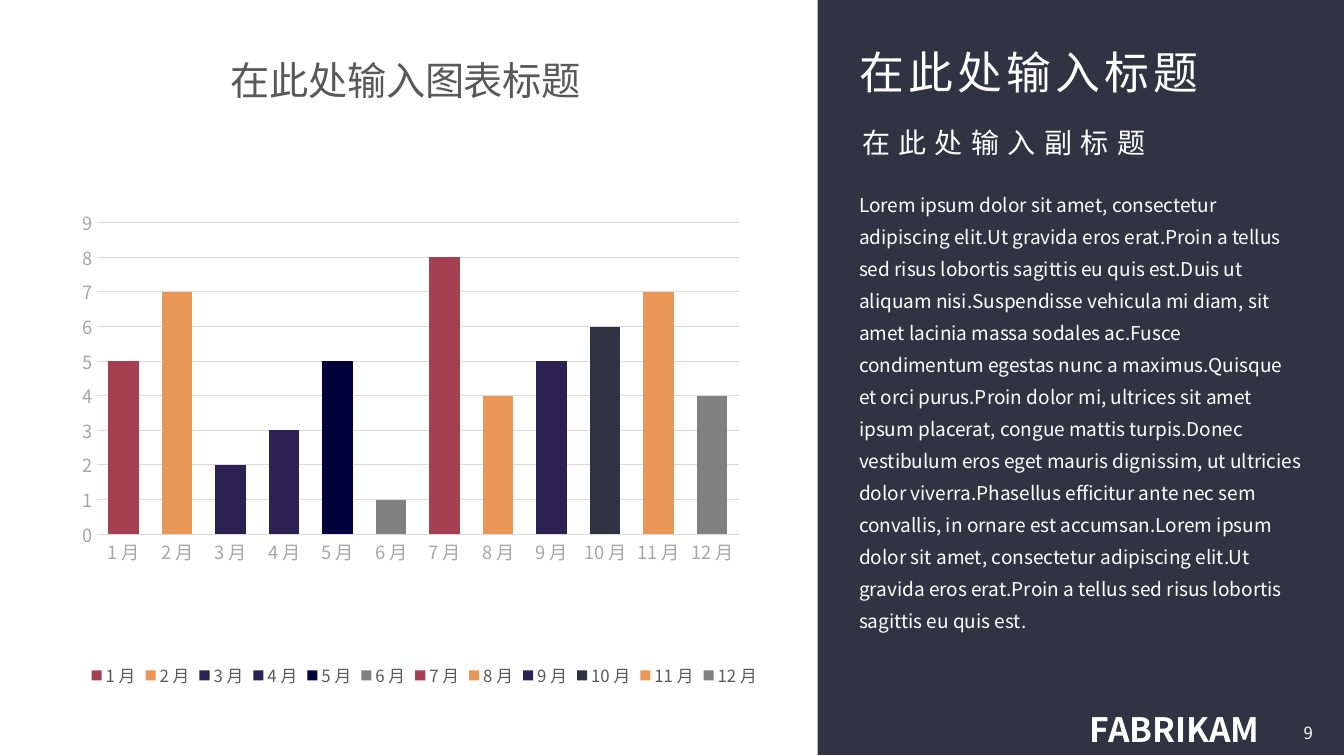
from dataclasses import dataclass

from lxml import etree
from pptx import Presentation
from pptx.chart.data import CategoryChartData
from pptx.dml.color import RGBColor as RGB
from pptx.enum.chart import XL_CHART_TYPE as Kind
from pptx.enum.chart import XL_LEGEND_POSITION as Spot
from pptx.enum.chart import XL_TICK_MARK as Tick
from pptx.enum.shapes import MSO_SHAPE as Preset
from pptx.enum.text import MSO_ANCHOR as Anchor
from pptx.enum.text import MSO_AUTO_SIZE as Fit
from pptx.enum.text import PP_ALIGN as Align
from pptx.oxml.ns import qn
from pptx.util import Inches, Pt

# Content
TITLE = "在此处输入标题"
SUBTITLE = "在此处输入副标题"
BODY = (
    "Lorem ipsum dolor sit amet, consectetur adipiscing elit."
    "Ut gravida eros erat.Proin a tellus sed risus lobortis sagittis eu quis est."
    "Duis ut aliquam nisi.Suspendisse vehicula mi diam, sit amet lacinia massa sodales ac."
    "Fusce condimentum egestas nunc a maximus.Quisque et orci purus."
    "Proin dolor mi, ultrices sit amet ipsum placerat, congue mattis turpis."
    "Donec vestibulum eros eget mauris dignissim, ut ultricies dolor viverra."
    "Phasellus efficitur ante nec sem convallis, in ornare est accumsan."
    "Lorem ipsum dolor sit amet, consectetur adipiscing elit."
    "Ut gravida eros erat.Proin a tellus sed risus lobortis sagittis eu quis est."
)
BRAND = "FABRIKAM"
NUMBER = "9"
CHART_TITLE = "在此处输入图表标题"
SERIES = "Series 1"
VALUES = [5, 7, 2, 3, 5, 1, 8, 4, 5, 6, 7, 4]
MONTHS = [f"{n} 月" for n in range(1, len(VALUES) + 1)]

# Slide size and the line between chart and panel, in inches
WIDE, HIGH, SPLIT = 13.33, 7.5, 8.11


@dataclass(frozen=True)
class Theme:
    font: str = "Noto Sans CJK SC"
    white: str = "FFFFFF"
    black: str = "000000"
    panel: str = "2F3342"
    text: str = "595959"
    label: str = "A6A6A6"
    grid: str = "D9D9D9"
    red: str = "A53F52"
    gold: str = "E99757"
    plum: str = "2C2153"
    navy: str = "01023B"
    gray: str = "808080"
    title: float = 32
    sub: float = 20
    body: float = 13.6
    brand: float = 24
    small: float = 12
    head: float = 28
    axis: float = 13
    chart: float = 15


T = Theme()
BARS = [T.red, T.gold, T.plum, T.plum, T.navy, T.gray,
        T.red, T.gold, T.plum, T.panel, T.gold, T.gray]


def style(font, size, color):
    font.name = T.font
    font.size = Pt(size)
    font.color.rgb = RGB.from_string(color)


def place(shape, box):
    shape.left, shape.top, shape.width, shape.height = map(Inches, box)


def write(shape, text, size, anchor=Anchor.MIDDLE, inset=(0, 0.05), align=Align.LEFT,
          lead=1, gap=0, bold=False, wrap=True):
    frame = shape.text_frame
    frame.word_wrap = wrap
    frame.auto_size = Fit.NONE
    frame.vertical_anchor = anchor
    frame.margin_left = frame.margin_right = Inches(inset[0])
    frame.margin_top = frame.margin_bottom = Inches(inset[1])
    para = frame.paragraphs[0]
    para.alignment = align
    para.line_spacing = lead
    para.space_before = Pt(0)
    props = para._p.get_or_add_pPr()
    props.set("marL", "0")
    props.set("indent", "0")
    etree.SubElement(props, qn("a:buNone"))
    run = para.add_run()
    run.text = text
    style(run.font, size, T.white)
    run.font.bold = bold
    mark = run._r.get_or_add_rPr()
    if gap:
        mark.set("spc", str(gap * 100))
    etree.SubElement(mark, qn("a:ea")).set("typeface", T.font)


def arrange(node, index, box, inner=False):
    """Fix a chart part at left, top, width, height in inches."""
    for old in node.findall(qn("c:layout")):
        node.remove(old)
    layout = etree.Element(qn("c:layout"))
    manual = etree.SubElement(layout, qn("c:manualLayout"))
    pairs = [("layoutTarget", "inner")] if inner else []
    pairs += [("xMode", "edge"), ("yMode", "edge")]
    pairs += [(tag, size / full)
              for tag, size, full in zip("xywh", box, (SPLIT, HIGH) * 2)]
    for tag, value in pairs:
        etree.SubElement(manual, qn(f"c:{tag}")).set("val", str(value))
    node.insert(index, layout)


def draw_chart(slide, box):
    data = CategoryChartData()
    data.categories = MONTHS
    data.add_series(SERIES, VALUES)
    frame = slide.shapes.add_chart(Kind.COLUMN_CLUSTERED, *map(Inches, box), data)
    chart = frame.chart
    style(chart.font, T.chart, T.black)

    # Bars
    plot = chart.plots[0]
    plot.vary_by_categories = True
    plot.gap_width = 75
    plot.overlap = -25
    for i, color in enumerate(BARS):
        fill = plot.series[0].points[i].format.fill
        fill.solid()
        fill.fore_color.rgb = RGB.from_string(color)

    # Axes
    cat, val = chart.category_axis, chart.value_axis
    for axis in (cat, val):
        axis.major_tick_mark = axis.minor_tick_mark = Tick.NONE
        style(axis.tick_labels.font, T.axis, T.label)
    val.minimum_scale, val.maximum_scale, val.major_unit = 0, 9, 1
    val.has_major_gridlines = True
    val.format.line.fill.background()
    for line in (cat.format.line, val.major_gridlines.format.line):
        line.color.rgb = RGB.from_string(T.grid)
        line.width = Pt(0.75)

    # Title and legend
    chart.has_title = True
    title = chart.chart_title
    run = title.text_frame.paragraphs[0].add_run()
    run.text = CHART_TITLE
    style(run.font, T.head, T.text)
    run.font.bold = False
    chart.has_legend = True
    legend = chart.legend
    legend.position = Spot.BOTTOM
    legend.include_in_layout = False
    style(legend.font, T.small, T.text)

    arrange(plot._element.getparent(), 0, (0.96, 2.21, 6.37, 3.09), inner=True)
    arrange(title._element, 1, (2.22, 0.38))
    arrange(legend._element, 1, (0.81, 6.51, 6.8, 0.38))


def main():
    deck = Presentation()
    deck.slide_width, deck.slide_height = Inches(WIDE), Inches(HIGH)
    slide = deck.slides.add_slide(deck.slide_layouts[3])
    shapes = slide.shapes

    # Dark panel, behind everything
    box = (SPLIT, 0, WIDE - SPLIT, 7.49)
    panel = shapes.add_shape(Preset.RECTANGLE, *map(Inches, box))
    panel.shadow.inherit = False
    panel.fill.solid()
    panel.fill.fore_color.rgb = RGB.from_string(T.panel)
    panel.line.fill.background()
    shapes._spTree.insert(2, panel._element)

    # Chart
    draw_chart(slide, (0, 0, SPLIT, HIGH))

    # Title, subtitle and body
    title, sub, body = shapes.title, slide.placeholders[1], slide.placeholders[2]
    place(title, (8.52, 0.4, 4.39, 0.63))
    write(title, TITLE, T.title, gap=3)
    place(sub, (8.55, 1.1, 4.37, 0.45))
    write(sub, SUBTITLE, T.sub, lead=1.5, gap=6)
    place(body, (8.52, 1.78, 4.39, 5.07))
    write(body, BODY, T.body, anchor=Anchor.TOP, lead=1.4)

    # Brand and page number
    brand = shapes.add_textbox(*map(Inches, (10.79, 7.01, 1.89, 0.45)))
    write(brand, BRAND, T.brand, inset=(0.02, 0.02), bold=True, wrap=False)
    page = shapes.add_textbox(*map(Inches, (12.63, 7.07, 0.49, 0.4)))
    write(page, NUMBER, T.small, inset=(0.1, 0.05), align=Align.RIGHT)

    deck.save("out.pptx")


if __name__ == "__main__":
    main()
